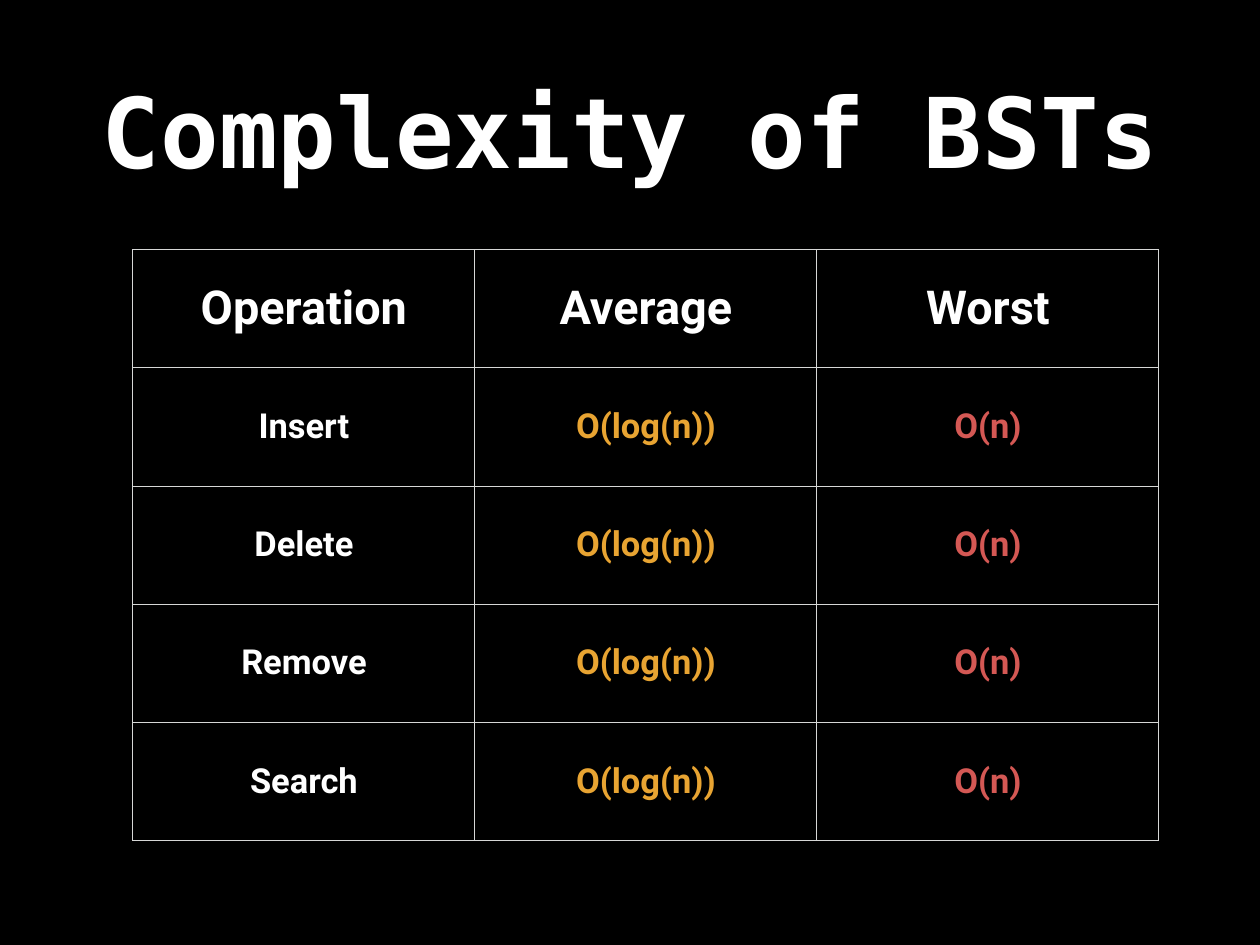
from dataclasses import dataclass

from lxml.etree import SubElement as Sub
from pptx import Presentation
from pptx.dml.color import RGBColor as Rgb
from pptx.enum.text import MSO_ANCHOR as Anchor, MSO_AUTO_SIZE as Fit, PP_ALIGN as Align
from pptx.oxml.ns import qn
from pptx.util import Inches, Pt


@dataclass(frozen=True)
class Theme:
    """Colours, fonts and type sizes of the slide."""
    back: str = "000000"
    text: str = "FFFFFF"
    mid: str = "E8A432"
    bad: str = "D45854"
    rule: str = "D6D7D6"
    mono: str = "DejaVu Sans Mono"
    sans: str = "Roboto"
    title: float = 79.2
    head: float = 38
    body: float = 28


THEME = Theme()
PAD = Inches(0.06)
HEADS = ("Operation", "Average", "Worst")
TASKS = ("Insert", "Delete", "Remove", "Search")
COSTS = ("O(log(n))", "O(n)")


def style(par, face, size, tone):
    """Centre a paragraph and set its bold font."""
    par.alignment = Align.CENTER
    font = par.font
    font.name, font.size, font.bold = face, Pt(size), True
    font.color.rgb = Rgb.from_string(tone)


def inset(item):
    """Set equal margins on a text frame or cell and centre it vertically."""
    item.margin_left = item.margin_right = PAD
    item.margin_top = item.margin_bottom = PAD
    item.vertical_anchor = Anchor.MIDDLE


def border(cell):
    """Draw a thin rule on all four sides of a cell."""
    props = cell._tc.get_or_add_tcPr()
    for side in ("a:lnL", "a:lnR", "a:lnT", "a:lnB"):
        line = Sub(props, qn(side), w=str(Pt(1)))
        fill = Sub(line, qn("a:solidFill"))
        Sub(fill, qn("a:srgbClr"), val=THEME.rule)


def add_title(slide, box, text):
    """Place the slide title in the box."""
    title = slide.shapes.title
    title.left, title.top, title.width, title.height = map(Inches, box)
    frame = title.text_frame
    frame.text = text
    frame.word_wrap, frame.auto_size = True, Fit.NONE
    inset(frame)
    style(frame.paragraphs[0], THEME.mono, THEME.title, THEME.text)


def add_costs(slide, box):
    """Fill the box with an even table of operation costs."""
    rows = [HEADS] + [(task, *COSTS) for task in TASKS]
    frame = slide.shapes.add_table(len(rows), len(HEADS), *map(Inches, box))
    table = frame.table
    table.horz_banding = False
    tones = (THEME.text, THEME.mid, THEME.bad)
    for i, row in enumerate(rows):
        for j, text in enumerate(row):
            cell = table.cell(i, j)
            cell.text = text
            inset(cell)
            border(cell)
            cell.fill.solid()
            cell.fill.fore_color.rgb = Rgb.from_string(THEME.back)
            size = THEME.body if i else THEME.head
            tone = tones[j] if i else THEME.text
            style(cell.text_frame.paragraphs[0], THEME.sans, size, tone)


def main():
    """Build the slide and save it."""
    deck = Presentation()
    deck.slide_width, deck.slide_height = Inches(14.22), Inches(10.67)
    slide = deck.slides.add_slide(deck.slide_layouts[5])
    fill = slide.background.fill
    fill.solid()
    fill.fore_color.rgb = Rgb.from_string(THEME.back)
    add_title(slide, (1.04, 0.28, 12.14, 2.36), "Complexity of BSTs")
    add_costs(slide, (1.5, 2.82, 11.58, 6.67))
    deck.save("out.pptx")


main()
